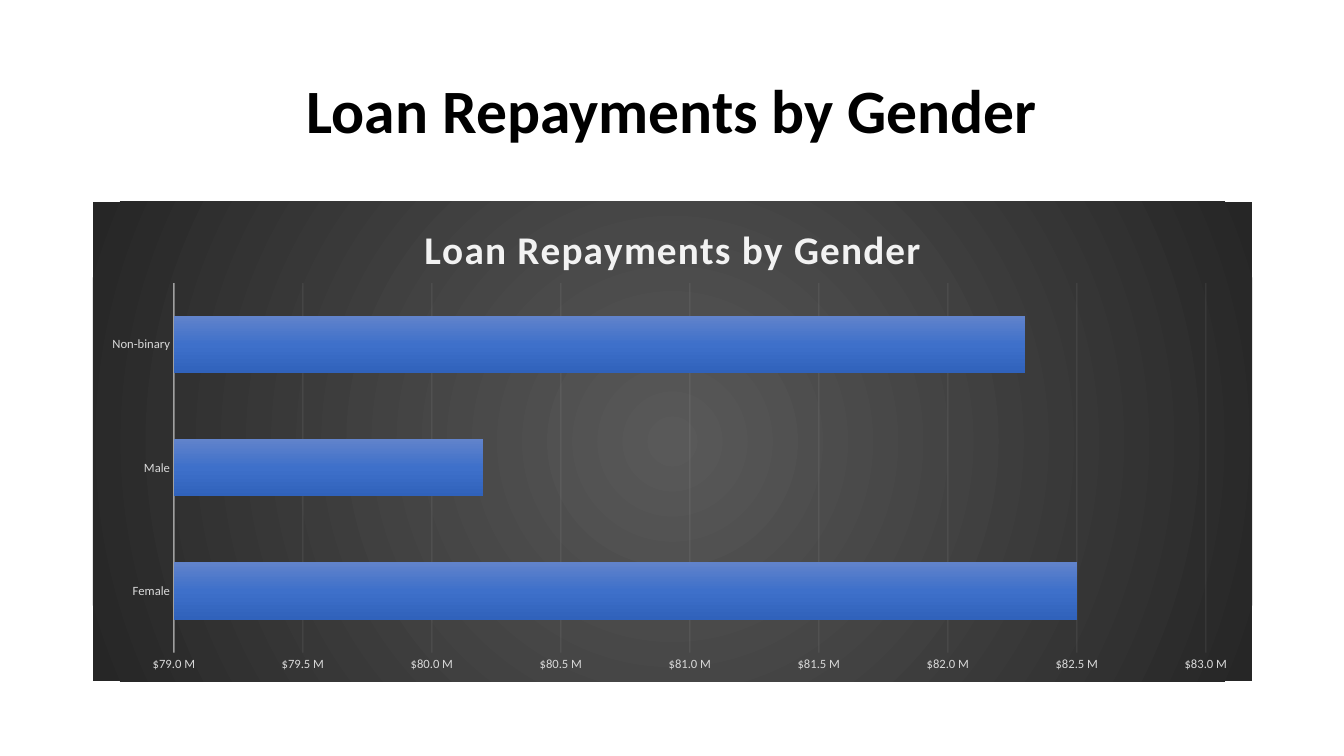
from lxml import etree
from pptx import Presentation
from pptx.chart.data import CategoryChartData
from pptx.dml.color import RGBColor
from pptx.enum.chart import XL_CHART_TYPE, XL_TICK_MARK
from pptx.enum.text import MSO_ANCHOR, PP_ALIGN
from pptx.oxml import parse_xml
from pptx.oxml.ns import nsdecls, qn
from pptx.util import Inches, Pt

BAR_CLUSTERED = XL_CHART_TYPE.BAR_CLUSTERED
NO_TICK = XL_TICK_MARK.NONE
MIDDLE = MSO_ANCHOR.MIDDLE
CENTER = PP_ALIGN.CENTER

BLACK = RGBColor(0x00, 0x00, 0x00)
OFF_WHITE = RGBColor(0xF2, 0xF2, 0xF2)
LABEL_GRAY = RGBColor(0xD9, 0xD9, 0xD9)
PANEL_STOPS = [RGBColor(0x59, 0x59, 0x59), RGBColor(0x26, 0x26, 0x26)]
BAR_STOPS = [RGBColor(0x61, 0x83, 0xCB), RGBColor(0x3E, 0x70, 0xCA), RGBColor(0x30, 0x62, 0xBB)]

HEADING = "Loan Repayments by Gender"
REPAYMENTS = {"Female": 82_500_000, "Male": 80_200_000, "Non-binary": 82_300_000}
MILLIONS = '"$"0.0,,\\ "M"'
LINEAR = '<a:lin ang="5400000" scaled="0"/>'
RADIAL = '<a:path path="circle"><a:fillToRect l="50000" t="50000" r="50000" b="50000"/></a:path>'


def gradient(colors, direction):
    """Return a gradient fill with evenly spaced stops."""
    step = 100000 // (len(colors) - 1)
    stops = "".join(
        f'<a:gs pos="{index * step}"><a:srgbClr val="{color}"/></a:gs>'
        for index, color in enumerate(colors)
    )
    return parse_xml(f'<a:gradFill {nsdecls("a")}><a:gsLst>{stops}</a:gsLst>{direction}</a:gradFill>')


def place(element, position, **fractions):
    """Lay out a chart part by fractions of the chart area."""
    layout = element.find(qn("c:layout"))
    if layout is None:
        layout = parse_xml(f'<c:layout {nsdecls("c")}/>')
        element.insert(position, layout)
    for child in list(layout):
        layout.remove(child)
    manual = etree.SubElement(layout, qn("c:manualLayout"))
    if "w" in fractions:
        etree.SubElement(manual, qn("c:layoutTarget")).set("val", "inner")
    for side in ("x", "y"):
        etree.SubElement(manual, qn(f"c:{side}Mode")).set("val", "edge")
    for side, value in fractions.items():
        etree.SubElement(manual, qn(f"c:{side}")).set("val", str(value))


class SlideBuilder:
    font_name = "Calibri"

    def __init__(self, deck):
        self.page = deck.slides.add_slide(deck.slide_layouts[6])

    def style_font(self, font, size, color, bold=False):
        font.name = self.font_name
        font.size = Pt(size)
        font.bold = bold
        font.color.rgb = color

    def style_line(self, line, width, opacity):
        line.width = Pt(width)
        line.color.rgb = OFF_WHITE
        color = line.fill._xPr.find(".//" + qn("a:srgbClr"))
        etree.SubElement(color, qn("a:alpha")).set("val", str(opacity * 1000))

    def add_heading(self, text, left, top, width, height):
        box = self.page.shapes.add_textbox(Inches(left), Inches(top), Inches(width), Inches(height))
        frame = box.text_frame
        frame.word_wrap = True
        frame.vertical_anchor = MIDDLE
        para = frame.paragraphs[0]
        para.text = text
        para.alignment = CENTER
        para.line_spacing = 0.9
        self.style_font(para.font, 44, BLACK, bold=True)

    def add_bar_chart(self, title, values, left, top, width, height):
        data = CategoryChartData()
        data.categories = list(values)
        data.add_series("Series 1", list(values.values()))
        chart = self.page.shapes.add_chart(
            BAR_CLUSTERED, Inches(left), Inches(top), Inches(width), Inches(height), data
        ).chart
        self.style_font(chart.font, 10, BLACK)
        chart.has_legend = False
        self.style_panel(chart)
        self.style_title(chart, title)
        self.style_axes(chart)

        plot = chart.plots[0]
        plot.vary_by_categories = False
        plot.gap_width = 115
        plot.overlap = -20
        plot.series[0]._element.get_or_add_spPr().append(gradient(BAR_STOPS, LINEAR))
        place(chart._chartSpace.chart.plotArea, 0, x=0.07, y=0.17, w=0.89, h=0.77)

    def style_panel(self, chart):
        panel = parse_xml(f'<c:spPr {nsdecls("c", "a")}><a:ln><a:noFill/></a:ln></c:spPr>')
        panel.insert(0, gradient(PANEL_STOPS, RADIAL))
        chart._chartSpace.chart.addnext(panel)

    def style_title(self, chart, text):
        chart.has_title = True
        title = chart.chart_title
        para = title.text_frame.paragraphs[0]
        para.text = text
        span = para.runs[0]
        self.style_font(span.font, 28, OFF_WHITE, bold=True)
        span.font._element.set("spc", "100")
        title.include_in_layout = False
        place(title._element, 1, x=0.28, y=0.03)

    def style_axes(self, chart):
        for axis in (chart.category_axis, chart.value_axis):
            axis.major_tick_mark = NO_TICK
            axis.minor_tick_mark = NO_TICK
            self.style_font(axis.tick_labels.font, 9, LABEL_GRAY)
        self.style_line(chart.category_axis.format.line, 1, 54)

        amounts = chart.value_axis
        amounts.minimum_scale = 79_000_000
        amounts.maximum_scale = 83_000_000
        amounts.major_unit = 500_000
        amounts.tick_labels.number_format = MILLIONS
        amounts.tick_labels.number_format_is_linked = False
        amounts.format.line.fill.background()
        amounts.has_major_gridlines = True
        self.style_line(amounts.major_gridlines.format.line, 0.75, 10)


def main():
    deck = Presentation()
    deck.slide_width = Inches(13.33)
    deck.slide_height = Inches(7.5)
    builder = SlideBuilder(deck)
    builder.add_heading(HEADING, 0.92, 0.4, 11.5, 1.45)
    builder.add_bar_chart(HEADING, REPAYMENTS, 0.92, 2, 11.5, 4.76)
    deck.save("out.pptx")


if __name__ == "__main__":
    main()
